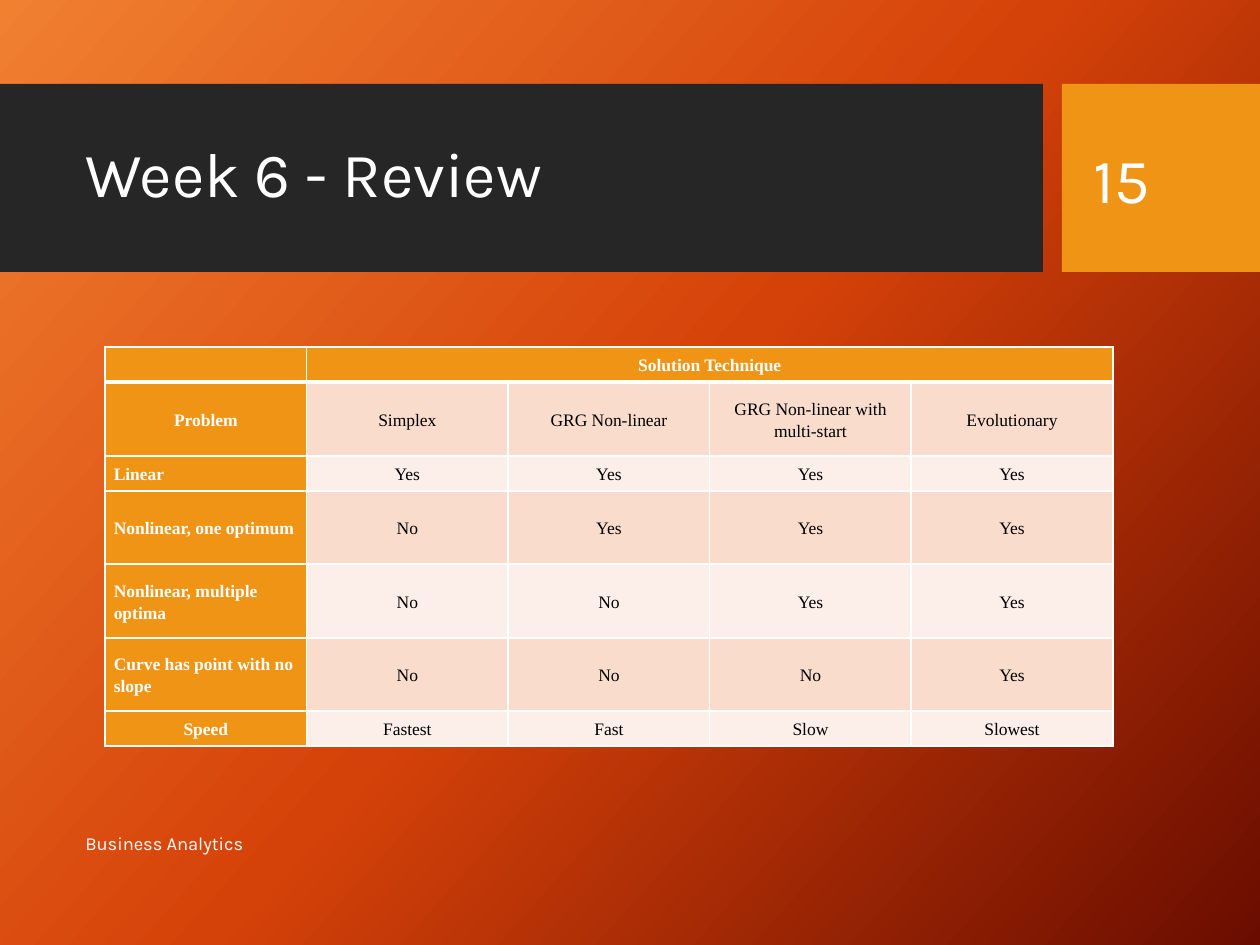
"""Build the Week 6 review slide with its table of solution techniques."""
from copy import deepcopy

from lxml import etree
from pptx import Presentation
from pptx import util as u
from pptx.dml.color import RGBColor
from pptx.enum import shapes, text
from pptx.oxml.ns import qn

PX = 914400 // 126
HUES = {
    "dark": "262626", "gold": "F09415", "white": "FFFFFF", "black": "000000",
    "peach": "F9DCCC", "pale": "FCEEE8",
    "light": "F18031", "mid": "D54209", "deep": "6A0D00",
}
HEAD = "Solution Technique"
ROWS = [
    ["Problem", "Simplex", "GRG Non-linear", "GRG Non-linear with multi-start", "Evolutionary"],
    ["Linear", "Yes", "Yes", "Yes", "Yes"],
    ["Nonlinear, one optimum", "No", "Yes", "Yes", "Yes"],
    ["Nonlinear, multiple optima", "No", "No", "Yes", "Yes"],
    ["Curve has point with no slope", "No", "No", "No", "Yes"],
    ["Speed", "Fastest", "Fast", "Slow", "Slowest"],
]
HIGH = [35, 74, 35, 73, 74, 73, 35]
MID = ("Problem", "Speed")


def px(n):
    """Turn pixels into EMU."""
    return u.Emu(n * PX)


def hue(name):
    """Look up a colour."""
    return RGBColor.from_string(HUES[name])


def write(frame, words, size, font="Karla", color="white", bold=False, mid=False, gap=None):
    """Put formatted words into a text frame."""
    frame.word_wrap = True
    para = frame.paragraphs[0]
    para.alignment = text.PP_ALIGN.CENTER if mid else text.PP_ALIGN.LEFT
    para.line_spacing = gap
    if not words:
        etree.SubElement(para._p, qn("a:endParaRPr"), sz=str(size * 100))
        return
    run = para.add_run()
    run.text = words
    run.font.size = u.Pt(size)
    run.font.name = font
    run.font.bold = bold
    run.font.color.rgb = hue(color)


def paint(slide):
    """Fill the background with a three-stop gradient."""
    fill = slide.background.fill
    fill.gradient()
    fill.gradient_angle = 318
    stops = slide.element.find(".//" + qn("a:gsLst"))
    stops.append(deepcopy(stops[-1]))
    for stop, name, pos in zip(fill.gradient_stops, ("light", "mid", "deep"), (0, 0.5, 1)):
        stop.color.rgb = hue(name)
        stop.position = pos


def bar(slide, color, *box):
    """Draw a plain rectangle."""
    rect = slide.shapes.add_shape(shapes.MSO_SHAPE.RECTANGLE, *map(px, box))
    rect.shadow.inherit = False
    rect.fill.solid()
    rect.fill.fore_color.rgb = hue(color)
    rect.line.fill.background()


def title(slide, words, *box):
    """Place the title in front of the bars."""
    head = slide.shapes.title
    head.left, head.top, head.width, head.height = map(px, box)
    head.text_frame.vertical_anchor = text.MSO_ANCHOR.MIDDLE
    write(head.text_frame, words, 36, gap=0.9)
    slide.shapes.element.append(head.element)


def label(slide, words, size, *box):
    """Add a text box centred in height."""
    frame = slide.shapes.add_textbox(*map(px, box)).text_frame
    frame.vertical_anchor = text.MSO_ANCHOR.MIDDLE
    write(frame, words, size)


def edge(cell, base):
    """Draw white cell borders, with the bottom one in its own width."""
    prop = cell._tc.get_or_add_tcPr()
    for n, (side, wide) in enumerate(zip("LRTB", (1, 1, 1, base))):
        line = etree.Element(qn("a:ln" + side), w=str(u.Pt(wide)))
        solid = etree.SubElement(line, qn("a:solidFill"))
        etree.SubElement(solid, qn("a:srgbClr"), val=HUES["white"])
        prop.insert(n, line)


def style(cell, words, row, col):
    """Fill, border and write one cell by its place in the grid."""
    key = row == 0 or col == 0
    cell.margin_left = cell.margin_right = u.Inches(0.07)
    cell.margin_top = cell.margin_bottom = 0
    cell.vertical_anchor = text.MSO_ANCHOR.MIDDLE
    cell.fill.solid()
    cell.fill.fore_color.rgb = hue("gold" if key else "peach" if row % 2 else "pale")
    edge(cell, 1 if row else 3)
    write(cell.text_frame, words, 10, font="Times New Roman",
          color="white" if key else "black", bold=key,
          mid=row == 0 or col > 0 or words in MID, gap=1.15)


def table(slide, left, top, wide):
    """Add the grid of problems and techniques."""
    cells = [["", HEAD, "", "", ""]] + ROWS
    count = len(cells[0])
    grid = slide.shapes.add_table(
        len(cells), count, px(left), px(top), px(wide), px(sum(HIGH))).table
    for col in grid.columns:
        col.width = px(wide) // count
    for r, line in enumerate(cells):
        grid.rows[r].height = px(HIGH[r])
        for c, words in enumerate(line):
            style(grid.cell(r, c), words, r, c)
    grid.cell(0, 1).merge(grid.cell(0, count - 1))


def main():
    """Build and save the slide."""
    deck = Presentation()
    deck.slide_width, deck.slide_height = px(1260), px(945)
    slide = deck.slides.add_slide(deck.slide_layouts[5])
    paint(slide)
    bar(slide, "dark", 0, 84, 1043, 188)
    bar(slide, "gold", 1062, 84, 198, 188)
    title(slide, "Week 6 - Review", 73, 103, 950, 149)
    table(slide, 105, 347, 1008)
    label(slide, "Business Analytics", 10.5, 73, 818, 667, 50)
    label(slide, "15", 36, 1081, 103, 160, 150)
    deck.save("out.pptx")


if __name__ == "__main__":
    main()
